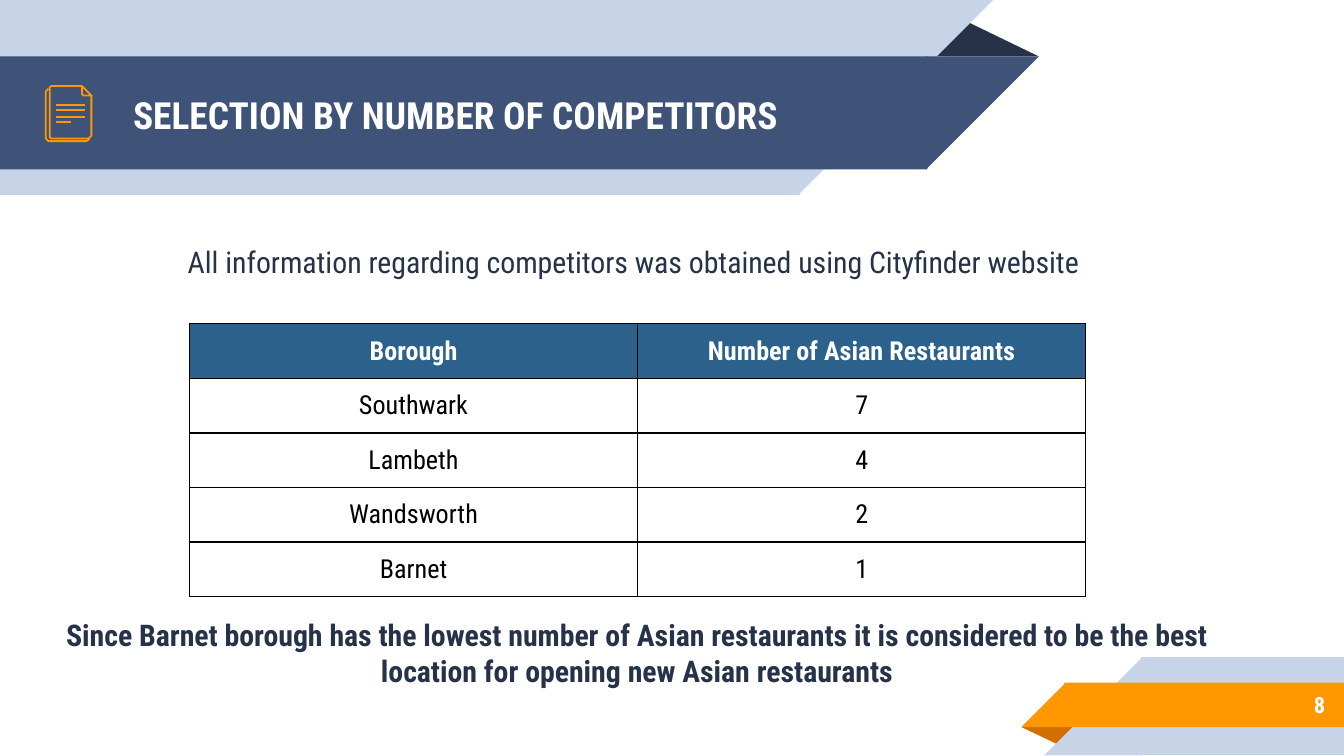
"""Builds the slide on selecting a borough by its number of competitors."""
from lxml import etree
from pptx import Presentation
from pptx.dml.color import RGBColor
from pptx.enum.shapes import MSO_CONNECTOR, MSO_SHAPE
from pptx.enum.text import MSO_ANCHOR, MSO_AUTO_SIZE, PP_ALIGN
from pptx.oxml.ns import qn
from pptx.util import Inches, Pt

RECT, CORNER, FOLD = MSO_SHAPE.RECTANGLE, MSO_SHAPE.RIGHT_TRIANGLE, MSO_SHAPE.ISOSCELES_TRIANGLE
STRAIGHT = MSO_CONNECTOR.STRAIGHT
LEFT, CENTER, RIGHT = PP_ALIGN.LEFT, PP_ALIGN.CENTER, PP_ALIGN.RIGHT
TOP, MIDDLE = MSO_ANCHOR.TOP, MSO_ANCHOR.MIDDLE
NO_FIT = MSO_AUTO_SIZE.NONE

FONT = "Roboto Condensed"
WHITE = RGBColor(0xFF, 0xFF, 0xFF)
BLACK = RGBColor(0x00, 0x00, 0x00)
NAVY = RGBColor(0x26, 0x32, 0x48)
SLATE = RGBColor(0x3F, 0x53, 0x78)
PALE = RGBColor(0xC7, 0xD3, 0xE6)
ORANGE = RGBColor(0xFF, 0x98, 0x00)
RUST = RGBColor(0xD2, 0x6F, 0x00)
HEADER_BLUE = RGBColor(0x2B, 0x61, 0x8B)

TITLE = "SELECTION BY NUMBER OF COMPETITORS"
INTRO = "All information regarding competitors was obtained using Cityfinder website "
CONCLUSION = ("Since Barnet borough has the lowest number of Asian restaurants it is "
              "considered to be the best location for opening new Asian restaurants")
PAGE_NUMBER = "8"
ROWS = [
    ("Borough", "Number of Asian Restaurants"),
    ("Southwark", "7"),
    ("Lambeth", "4"),
    ("Wandsworth", "2"),
    ("Barnet", "1"),
]
TABLE_BOX = (1.41, 2.41, 6.67, 2.03)

RIBBONS = [
    (FOLD, (6.88, 0.14, 0.85, 0.28), 0, NAVY),
    (RECT, (0, 0, 5.95, 1.45), 0, PALE),
    (CORNER, (5.94, 0, 1.45, 1.45), 90, PALE),
    (RECT, (0, 0.42, 6.9, 0.84), 0, SLATE),
    (CORNER, (6.89, 0.42, 0.84, 0.84), 90, SLATE),
    (FOLD, (7.6, 5.41, 0.43, 0.14), 180, RUST),
    (RECT, (8.49, 4.89, 1.51, 0.73), 0, PALE),
    (CORNER, (7.77, 4.89, 0.73, 0.73), 270, PALE),
    (RECT, (7.92, 5.08, 2.08, 0.33), 0, ORANGE),
    (CORNER, (7.6, 5.08, 0.33, 0.33), 270, ORANGE),
]

UNITS_PER_INCH = 100
ICON_OUTLINES = [
    ([(66, 103), (66, 104), (64, 105), (36, 105), (35, 104), (34, 103),
      (34, 68), (35, 67), (36, 66)], False),
    ([(68, 71), (68, 101), (67, 102), (66, 103), (38, 103), (37, 102),
      (37, 65), (38, 64), (61, 64)], False),
    ([(61, 70), (61, 64), (68, 71), (63, 71), (62, 71)], True),
]
ICON_LINES = [(0.63, 0.78), (0.63, 0.82), (0.63, 0.87), (0.53, 0.91)]
ICON_LINE_LEFT = 0.42
ICON_WEIGHT = Pt(0.96)


def inches(box):
    return [Inches(length) for length in box]


def format_text(frame, size, color, bold, align, anchor):
    frame.vertical_anchor = anchor
    para = frame.paragraphs[0]
    para.alignment = align
    for span in para.runs:
        span.font.name = FONT
        span.font.size = Pt(size)
        span.font.bold = bold
        span.font.color.rgb = color
    return para


def fill_box(shape, box, text, size, color, bold, align, anchor):
    shape.left, shape.top, shape.width, shape.height = inches(box)
    frame = shape.text_frame
    frame.text = text
    frame.word_wrap = True
    frame.auto_size = NO_FIT
    frame.margin_left = frame.margin_right = Inches(0.1)
    frame.margin_top = frame.margin_bottom = Inches(0.1)
    return format_text(frame, size, color, bold, align, anchor)


def add_ribbon(shapes, kind, box, rotation, color):
    ribbon = shapes.add_shape(kind, *inches(box))
    ribbon.rotation = rotation
    ribbon.shadow.inherit = False
    ribbon.fill.solid()
    ribbon.fill.fore_color.rgb = color
    ribbon.line.fill.background()
    if kind == FOLD:
        ribbon.adjustments[0] = 0.32


def draw_icon(shapes):
    for points, closed in ICON_OUTLINES:
        builder = shapes.build_freeform(*points[0], scale=Inches(1) / UNITS_PER_INCH)
        builder.add_line_segments(points[1:], close=closed)
        outline = builder.convert_to_shape()
        outline.shadow.inherit = False
        outline.fill.background()
        outline.line.color.rgb = ORANGE
        outline.line.width = ICON_WEIGHT
    for right, y in ICON_LINES:
        line = shapes.add_connector(STRAIGHT, *inches((right, y, ICON_LINE_LEFT, y)))
        line.line.color.rgb = ORANGE
        line.line.width = ICON_WEIGHT
        etree.SubElement(line._element.spPr, qn("a:effectLst"))


def add_borders(cell):
    properties = cell._tc.get_or_add_tcPr()
    for index, side in enumerate(("a:lnL", "a:lnR", "a:lnT", "a:lnB")):
        border = etree.Element(qn(side), w=str(Pt(0.75)))
        solid = etree.SubElement(border, qn("a:solidFill"))
        etree.SubElement(solid, qn("a:srgbClr"), val=str(BLACK))
        properties.insert(index, border)


def add_borough_table(shapes):
    table = shapes.add_table(len(ROWS), len(ROWS[0]), *inches(TABLE_BOX)).table
    table.horz_banding = False
    for row_index, row in enumerate(ROWS):
        header = row_index == 0
        for column_index, text in enumerate(row):
            cell = table.cell(row_index, column_index)
            cell.text = text
            if header:
                cell.fill.solid()
                cell.fill.fore_color.rgb = HEADER_BLUE
            else:
                cell.fill.background()
            format_text(cell.text_frame, 14, WHITE if header else BLACK, header, CENTER, TOP)
            cell.vertical_anchor = MIDDLE
            add_borders(cell)


def main():
    deck = Presentation()
    deck.slide_width = Inches(10)
    deck.slide_height = deck.slide_width * 9 // 16
    page = deck.slides.add_slide(deck.slide_layouts[1])
    shapes = page.shapes
    title, body = shapes.title, page.placeholders[1]

    for ribbon in RIBBONS:
        add_ribbon(shapes, *ribbon)
    for placeholder in (body, title):
        shapes._spTree.append(placeholder._element)

    intro = fill_box(body, (0.34, 1.71, 8.8, 0.92), INTRO, 16, NAVY, False, CENTER, TOP)
    intro.space_before = Pt(6)
    properties = intro._p.get_or_add_pPr()
    properties.set("marL", "0")
    properties.set("indent", "0")
    etree.SubElement(properties, qn("a:buNone"))
    fill_box(title, (0.89, 0.43, 5.75, 0.84), TITLE, 20, WHITE, True, LEFT, MIDDLE)

    number_box = shapes.add_textbox(0, 0, 0, 0)
    fill_box(number_box, (8.33, 5.07, 1.63, 0.35), PAGE_NUMBER, 12, WHITE, True, RIGHT, MIDDLE)
    draw_icon(shapes)
    add_borough_table(shapes)
    conclusion_box = shapes.add_textbox(0, 0, 0, 0)
    conclusion = fill_box(conclusion_box, (0.34, 4.49, 8.8, 0.92), CONCLUSION,
                          16, NAVY, True, CENTER, TOP)
    conclusion.space_before = Pt(6)
    deck.save("out.pptx")


if __name__ == "__main__":
    main()
